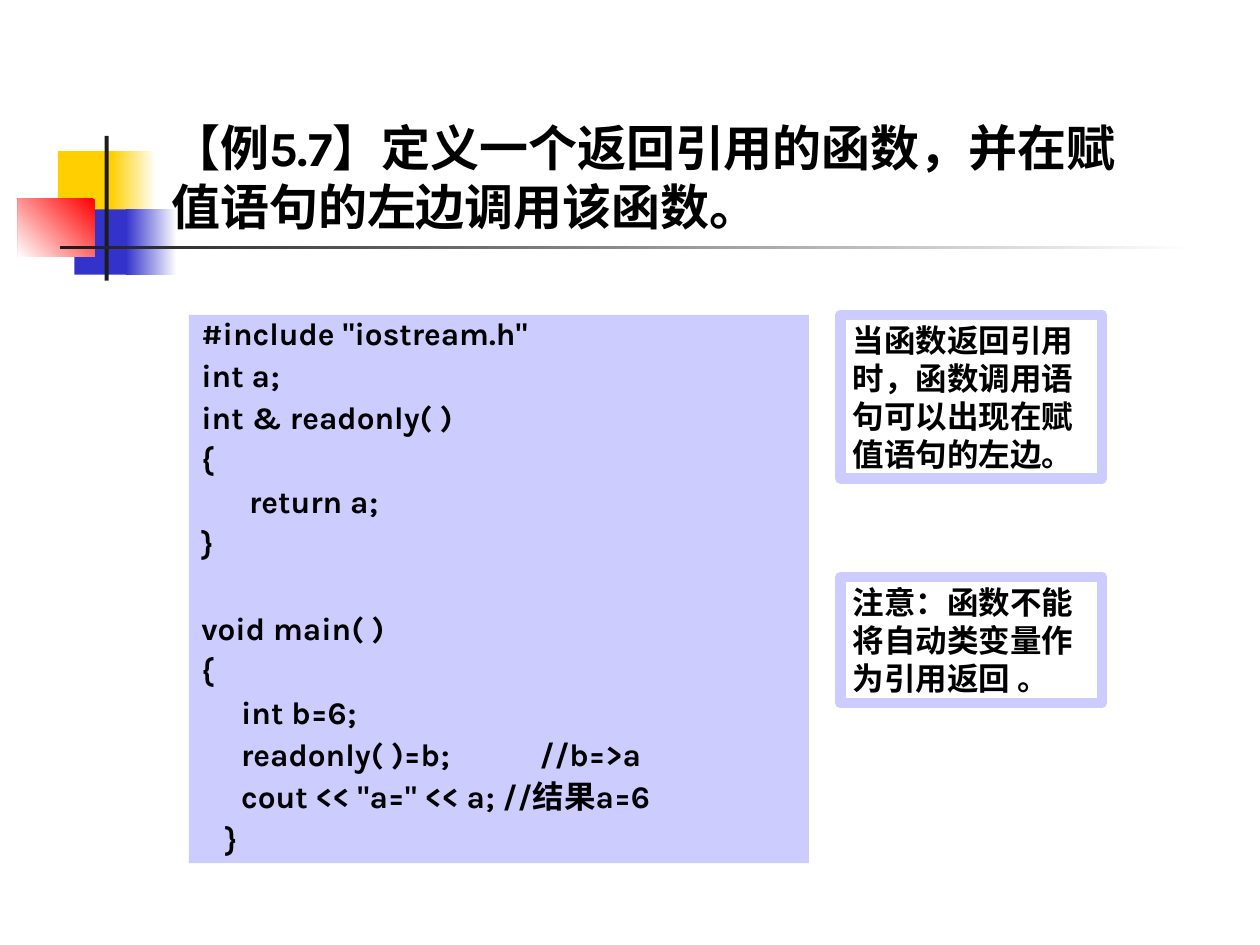
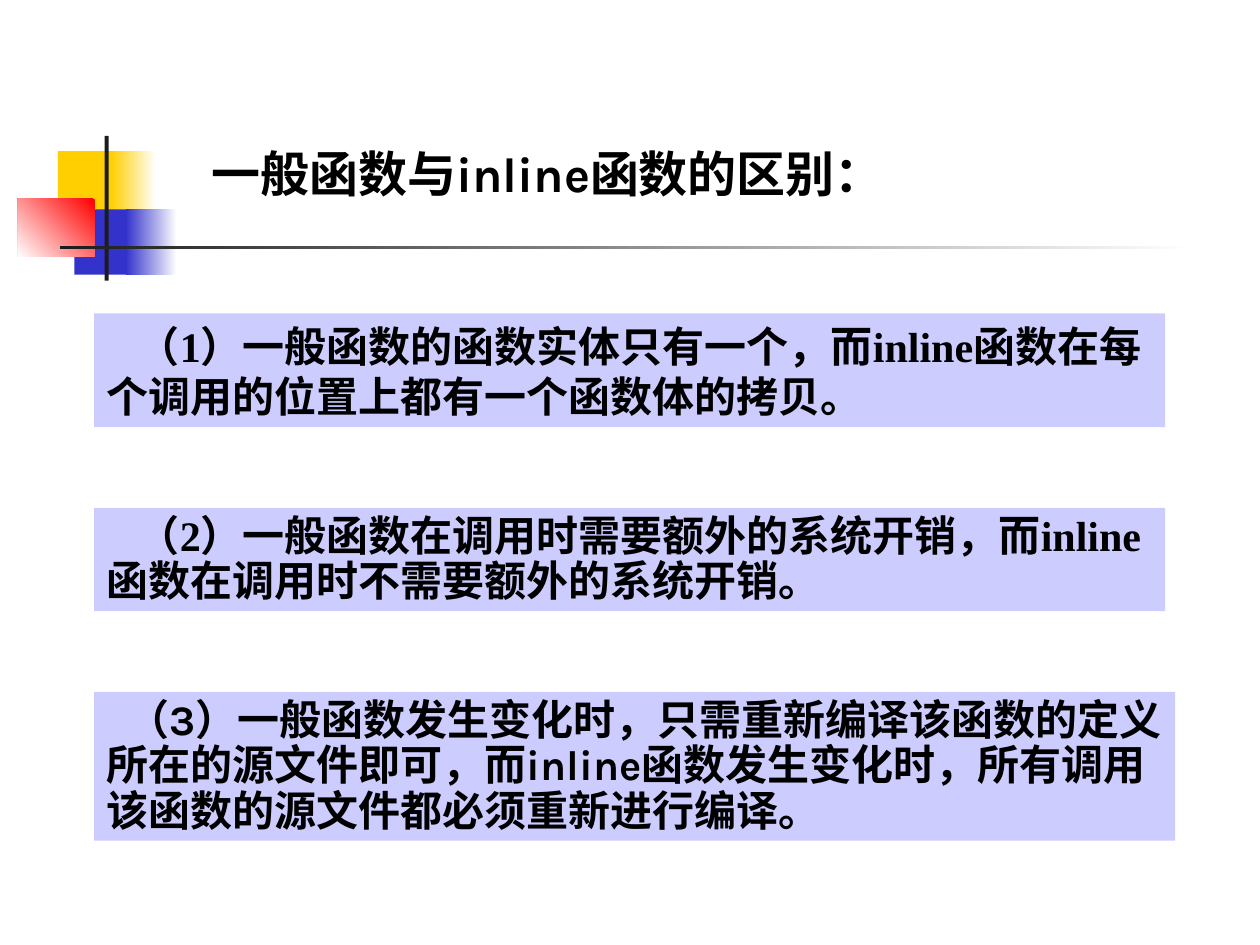
from lxml import etree
from pptx import Presentation
from pptx.dml.color import RGBColor
from pptx.enum.shapes import MSO_SHAPE
from pptx.enum.text import MSO_ANCHOR, MSO_AUTO_SIZE, PP_ALIGN
from pptx.oxml.ns import qn
from pptx.util import Cm, Pt

RECT = MSO_SHAPE.RECTANGLE
TOP, BOTTOM = MSO_ANCHOR.TOP, MSO_ANCHOR.BOTTOM
LEFT = PP_ALIGN.LEFT
NO_FIT = MSO_AUTO_SIZE.NONE

# Shared look
CJK, KARLA, TIMES = "Noto Sans CJK SC", "Karla", "Times New Roman"
BLACK, WHITE, LILAC = "000000", "FFFFFF", "CCCCFF"
YELLOW, BLUE, RED, DARK = "FFCF01", "3333CC", "FF0000", "1C1C1C"

# Corner ornament: left, top, width, height in cm, colours, gradient angle
ORNAMENT = [
    (1.17, 3.05, 1.22, 1.32, [YELLOW], 0),
    (2.24, 3.05, 0.91, 1.32, [WHITE, YELLOW], 180),
    (1.50, 4.22, 1.17, 1.32, [BLUE], 0),
    (2.54, 4.22, 1.02, 1.32, [WHITE, BLUE], 180),
    (0.36, 4.01, 1.55, 1.17, [RED, WHITE], 225),
    (2.11, 2.74, 0.08, 2.92, [DARK], 0),
    (1.22, 4.95, 22.86, 0.08, [WHITE, DARK], 180),
]

# Text formats: size and line pitch in points
TITLE = {"size": 28, "pitch": 34}
CODE = {"size": 18, "pitch": 17.3}
NOTE = {"size": 18, "pitch": 21.7}
ITEM = {"size": 24}

# Slide 1
EXAMPLE_TITLE = "【例5.7】定义一个返回引用的函数，并在赋值语句的左边调用该函数。"
CODE_BLOCKS = [
    ["#include \"iostream.h\"",
     "int a;",
     "int & readonly( )",
     "{",
     "      return a;",
     "}"],
    ["void main( )",
     "{",
     "     int b=6;",
     "     readonly( )=b;\t//b=>a",
     "     cout << \"a=\" << a; //结果a=6",
     "   }"],
]
CODE_GAP, COMMENT_TAB = 6.8, 6.82
NOTES = [
    (6.35, 3.30, "当函数返回引用时，函数调用语句可以出现在赋值语句的左边。"),
    (11.63, 2.54, "注意：函数不能将自动类变量作为引用返回 。"),
]

# Slide 2: width, height, first-line indent in cm, line pitch, font, text
COMPARE_TITLE = "一般函数与inline函数的区别："
DIFFERENCES = [
    (21.59, 2.29, 0.63, 29, TIMES,
     "（1）一般函数的函数实体只有一个，而inline函数在每个调用的位置上都有一个函数体的拷贝。"),
    (21.59, 2.08, 0.63, 26, TIMES,
     "（2）一般函数在调用时需要额外的系统开销，而inline函数在调用时不需要额外的系统开销。"),
    (21.79, 3.00, 0.42, 26, KARLA,
     "（3）一般函数发生变化时，只需重新编译该函数的定义所在的源文件即可，而inline函数发生变化时，"
     "所有调用该函数的源文件都必须重新进行编译。"),
]
ITEM_TOP, ITEM_GAP = 6.32, 1.63


def rgb(color):
    return RGBColor.from_string(color)


def add_rect(s, box, colors=(), angle=0, border=None):
    sp = s.shapes.add_shape(RECT, *map(Cm, box))
    sp.shadow.inherit = False
    if len(colors) == 2:
        sp.fill.gradient()
        sp.fill.gradient_angle = angle
        for stop, color in zip(sp.fill.gradient_stops, colors):
            stop.color.rgb = rgb(color)
    elif colors:
        sp.fill.solid()
        sp.fill.fore_color.rgb = rgb(colors[0])
    else:
        sp.fill.background()
    if border:
        sp.line.color.rgb = rgb(border)
        sp.line.width = Pt(6)
    else:
        sp.line.fill.background()
    return sp


def set_frame(sp, anchor=TOP):
    tf = sp.text_frame
    frame = {"word_wrap": True, "auto_size": NO_FIT, "vertical_anchor": anchor}
    for name, value in frame.items():
        setattr(tf, name, value)
    return tf


def write(p, text, size, pitch, font=CJK, before=0, indent=0, tab=None):
    pPr = p._p.get_or_add_pPr()
    if indent:
        pPr.set("indent", str(Cm(indent)))
    if tab:
        tabs = etree.SubElement(pPr, qn("a:tabLst"))
        etree.SubElement(tabs, qn("a:tab"), pos=str(Cm(tab)), algn="l")
    layout = {"alignment": LEFT, "line_spacing": Pt(pitch), "space_before": Pt(before)}
    for name, value in layout.items():
        setattr(p, name, value)
    r = p.add_run()
    r.text = text
    for name, value in {"name": font, "size": Pt(size), "bold": True}.items():
        setattr(r.font, name, value)
    r.font.color.rgb = rgb(BLACK)
    # Chinese characters use their own face beside the Latin one
    r.font._element.find(qn("a:latin")).addnext(
        etree.Element(qn("a:ea"), typeface=CJK))


def add_slide(prs, title, box):
    s = prs.slides.add_slide(prs.slide_layouts[5])
    for *place, colors, angle in ORNAMENT:
        add_rect(s, place, colors, angle)
    sp = s.shapes.title
    sp.left, sp.top, sp.width, sp.height = map(Cm, box)
    write(set_frame(sp, BOTTOM).paragraphs[0], title, font=KARLA, **TITLE)
    # Keep the title in front of the ornament
    sp.element.getparent().append(sp.element)
    return s


def build_example(prs):
    s = add_slide(prs, EXAMPLE_TITLE, (3.2, 1.7, 20.09, 3.18))
    tf = set_frame(add_rect(s, (3.81, 6.35, 12.5, 11.05), [LILAC]))
    for b, block in enumerate(CODE_BLOCKS):
        for i, line in enumerate(block):
            first = b == i == 0
            p = tf.paragraphs[0] if first else tf.add_paragraph()
            # A new block is set off by one empty line
            extra = CODE["pitch"] + CODE_GAP if b and i == 0 else 0
            write(p, line, font=KARLA, before=0 if first else CODE_GAP + extra,
                  tab=COMMENT_TAB if "\t" in line else None, **CODE)
    for top, height, text in NOTES:
        sp = add_rect(s, (16.94, top, 5.28, height), border=LILAC)
        write(set_frame(sp).paragraphs[0], text, **NOTE)


def build_comparison(prs):
    s = add_slide(prs, COMPARE_TITLE, (4.01, 2.74, 15.67, 1.47))
    top = ITEM_TOP
    for width, height, indent, pitch, font, text in DIFFERENCES:
        sp = add_rect(s, (1.9, top, width, height), [LILAC])
        write(set_frame(sp).paragraphs[0], text, pitch=pitch, font=font,
              indent=indent, **ITEM)
        top += height + ITEM_GAP


def main():
    prs = Presentation()
    prs.slide_width, prs.slide_height = Cm(25.4), Cm(19.05)
    build_example(prs)
    build_comparison(prs)
    prs.save("out.pptx")


if __name__ == "__main__":
    main()
